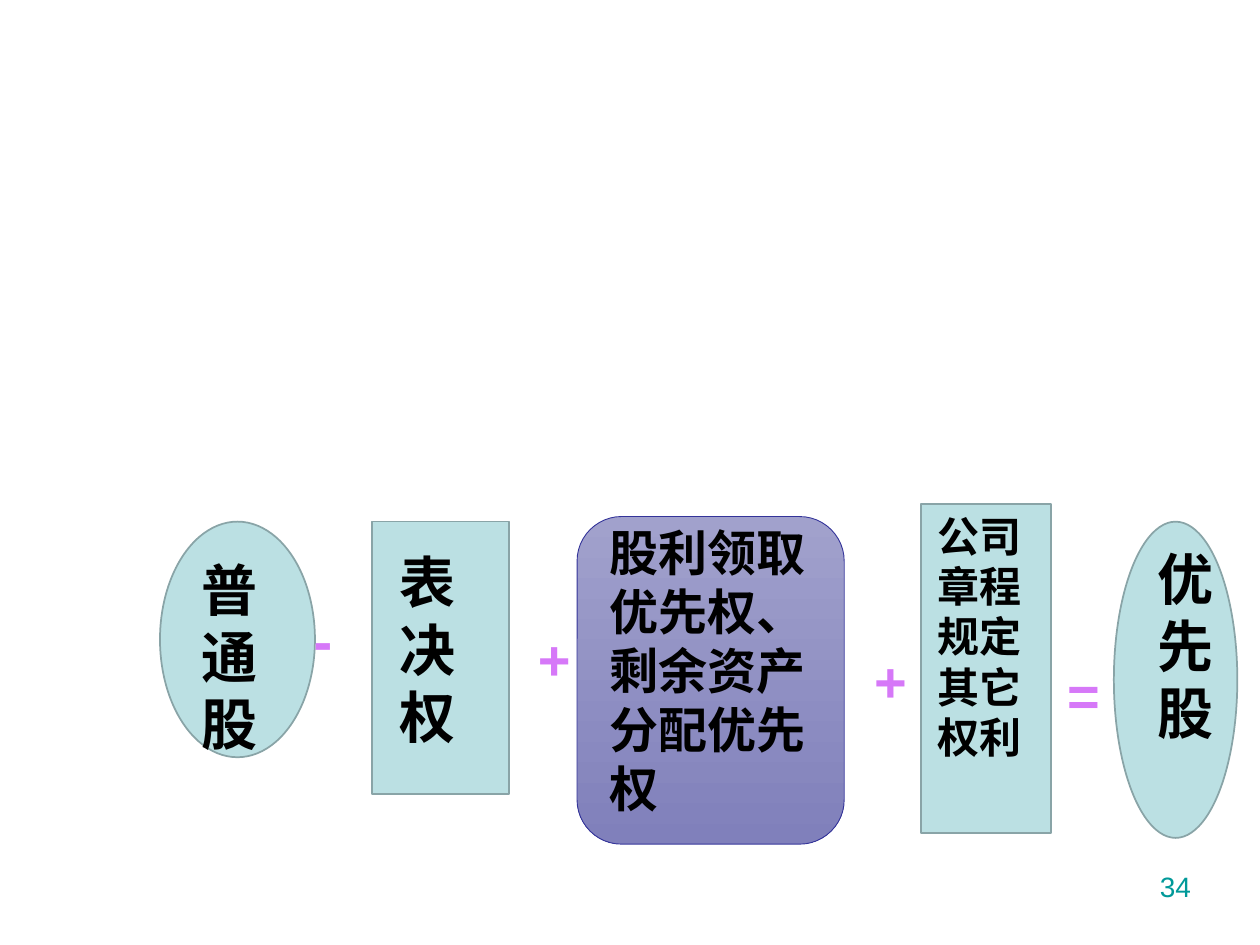
from dataclasses import dataclass

from pptx import Presentation
from pptx.dml.color import RGBColor
from pptx.enum.shapes import MSO_SHAPE as Preset
from pptx.enum.text import PP_ALIGN as Align
from pptx.util import Inches, Pt

BLACK = RGBColor(0x00, 0x00, 0x00)
TEAL = RGBColor(0x00, 0x99, 0x99)
PINK = RGBColor(0xD6, 0x78, 0xF8)
PALE_BLUE = RGBColor(0xBB, 0xE0, 0xE3)
GREY_BLUE = RGBColor(0x89, 0xA4, 0xA7)
NAVY = RGBColor(0x33, 0x33, 0x99)
LILAC = RGBColor(0xA1, 0xA1, 0xCC)
VIOLET = RGBColor(0x80, 0x80, 0xBB)

Box = tuple[float, float, float, float]


@dataclass(frozen=True)
class Term:
    text: str
    preset: Preset
    outline_box: Box
    text_box: Box
    size: int = 32
    gradient: bool = False


@dataclass(frozen=True)
class Operator:
    symbol: str
    box: Box


TERMS = [
    Term("普通股", Preset.OVAL, (1.27, 4.14, 1.23, 1.87), (1.5, 4.36, 0.56, 1.7)),
    Term("表决权", Preset.RECTANGLE, (2.95, 4.14, 1.09, 2.16), (3.07, 4.3, 0.67, 1.7)),
    Term("股利领取优先权、剩余资产分配优先权", Preset.ROUNDED_RECTANGLE,
         (4.58, 4.1, 2.12, 2.6), (4.74, 4.1, 1.8, 2.44), size=28, gradient=True),
    Term("公司章程规定其它权利", Preset.RECTANGLE,
         (7.31, 4, 1.03, 2.61), (7.34, 4, 1, 2.1), size=24),
    Term("优先股", Preset.OVAL, (8.84, 4.14, 0.98, 2.51), (9.09, 4.27, 0.59, 1.7)),
]
OPERATORS = [
    Operator("-", (2.39, 4.76, 0.56, 0.64)),
    Operator("+", (4.17, 4.91, 0.24, 0.64)),
    Operator("+", (6.84, 5.08, 0.57, 0.64)),
    Operator("=", (8.37, 5.19, 0.28, 0.64)),
]


def add_text(shapes, text: str, box: Box, *, size: int = 32,
             color: RGBColor = BLACK, bold: bool = True,
             align: Align = Align.LEFT) -> None:
    frame = shapes.add_textbox(*map(Inches, box)).text_frame
    frame.word_wrap = True
    paragraph = frame.paragraphs[0]
    paragraph.alignment = align
    run = paragraph.add_run()
    run.text = text
    run.font.name = "Arial"
    run.font.size = Pt(size)
    run.font.bold = bold
    run.font.color.rgb = color


def add_term(slide, term: Term) -> None:
    """Group an outline with the text laid over it."""
    shapes = slide.shapes.add_group_shape().shapes
    outline = shapes.add_shape(term.preset, *map(Inches, term.outline_box))
    outline.shadow.inherit = False
    if term.gradient:
        outline.fill.gradient()
        outline.fill.gradient_angle = 270
        for stop, color in zip(outline.fill.gradient_stops, (LILAC, VIOLET)):
            stop.color.rgb = color
    else:
        outline.fill.solid()
        outline.fill.fore_color.rgb = PALE_BLUE
    outline.line.color.rgb = NAVY if term.gradient else GREY_BLUE
    outline.line.width = Pt(0.5 if term.gradient else 1)
    add_text(shapes, term.text, term.text_box, size=term.size)


def main() -> None:
    presentation = Presentation()
    presentation.slide_width = Inches(10)
    presentation.slide_height = Inches(7.5)
    blank_layout = presentation.slide_layouts[6]
    slide = presentation.slides.add_slide(blank_layout)

    add_text(slide.shapes, "34", (7.22, 6.85, 2.33, 0.52), size=16,
             color=TEAL, bold=False, align=Align.RIGHT)
    for index, term in enumerate(TERMS):
        add_term(slide, term)
        for operator in OPERATORS[index:index + 1]:
            add_text(slide.shapes, operator.symbol, operator.box, color=PINK)

    presentation.save("out.pptx")


if __name__ == "__main__":
    main()
